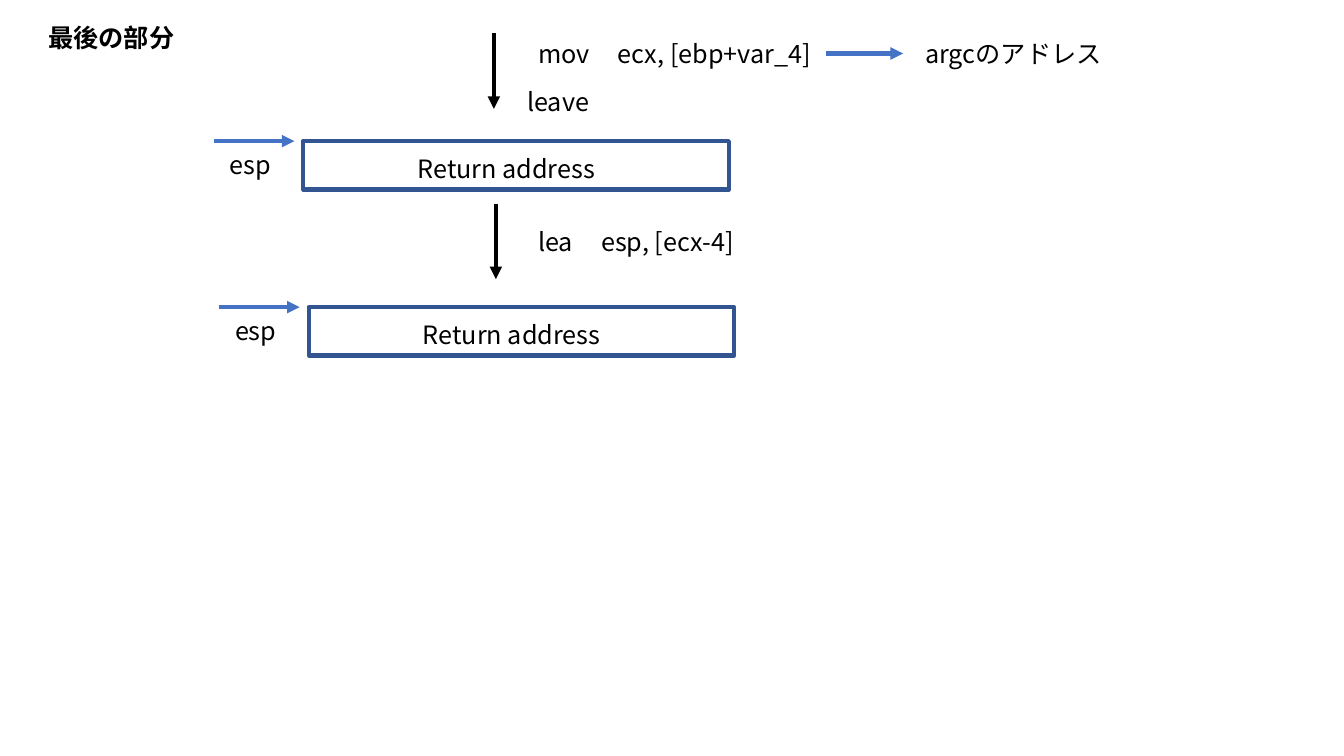
from lxml import etree
from pptx import Presentation
from pptx.dml.color import RGBColor
from pptx.enum.shapes import MSO_CONNECTOR, MSO_SHAPE
from pptx.enum.text import MSO_AUTO_SIZE
from pptx.oxml.ns import qn
from pptx.util import Pt

BLACK = RGBColor(0x00, 0x00, 0x00)
BLUE = RGBColor(0x44, 0x72, 0xC4)
NAVY = RGBColor(0x32, 0x54, 0x91)
FONT = "Noto Sans CJK JP"

prs = Presentation()
prs.slide_width, prs.slide_height = Pt(960), Pt(540)
s = prs.slides.add_slide(prs.slide_layouts[6])


def add_text(text, x, y, w, wrap=True, bold=False, tab=None):
    """Add one line of 18 pt text, with an optional tab stop in points."""
    tf = s.shapes.add_textbox(Pt(x), Pt(y), Pt(w), Pt(29)).text_frame
    tf.word_wrap = wrap
    tf.auto_size = MSO_AUTO_SIZE.SHAPE_TO_FIT_TEXT
    p = tf.paragraphs[0]
    p.text = text
    if tab:
        stops = etree.SubElement(p._p.get_or_add_pPr(), qn("a:tabLst"))
        etree.SubElement(stops, qn("a:tab"), pos=str(Pt(tab)), algn="l")
    for r in p.runs:
        r.font.name, r.font.size, r.font.bold = FONT, Pt(18), bold
        r.font.color.rgb = BLACK
        etree.SubElement(r.font._element, qn("a:ea"), typeface=FONT)


def add_arrow(x, y, dx, dy, color):
    """Add a 3 pt arrow from (x, y) that runs by (dx, dy)."""
    arrow = s.shapes.add_connector(
        MSO_CONNECTOR.STRAIGHT, Pt(x), Pt(y), Pt(x + dx), Pt(y + dy))
    arrow.line.color.rgb = color
    arrow.line.width = Pt(3)
    etree.SubElement(arrow.line._get_or_add_ln(), qn("a:tailEnd"), type="triangle")
    etree.SubElement(arrow._element.spPr, qn("a:effectLst"))


add_text("最後の部分", 27.5, 12.5, 105, wrap=False, bold=True)

# Stack slot before and after the lea instruction
for x, y in [(216.7, 100.8), (220.5, 219.4)]:
    slot = s.shapes.add_shape(MSO_SHAPE.RECTANGLE, Pt(x), Pt(y), Pt(304), Pt(34.6))
    slot.shadow.inherit = False
    slot.fill.background()
    slot.line.color.rgb = NAVY
    slot.line.width = Pt(3)
    add_text("Return address", x + 74.5, y + 5, 142.6)
    add_text("esp", x - 59.7, y + 2.2, 44.6, wrap=False)
    add_arrow(x - 64, y, 57.6, 0, BLUE)

# Instructions beside the downward steps
add_text("mov\tecx, [ebp+var_4]", 377.3, 23.8, 215, tab=57)
add_text("leave", 369.5, 57.8, 80)
add_text("lea\tesp, [ecx-4]", 377.3, 158.4, 166, tab=45)
for x, y in [(352.8, 23.8), (354.2, 145.4)]:
    add_arrow(x, y, 0, 54, BLACK)

add_arrow(589.7, 38.2, 55.4, 0, BLUE)
add_text("argcのアドレス", 653.8, 23.8, 300)

prs.save("out.pptx")
